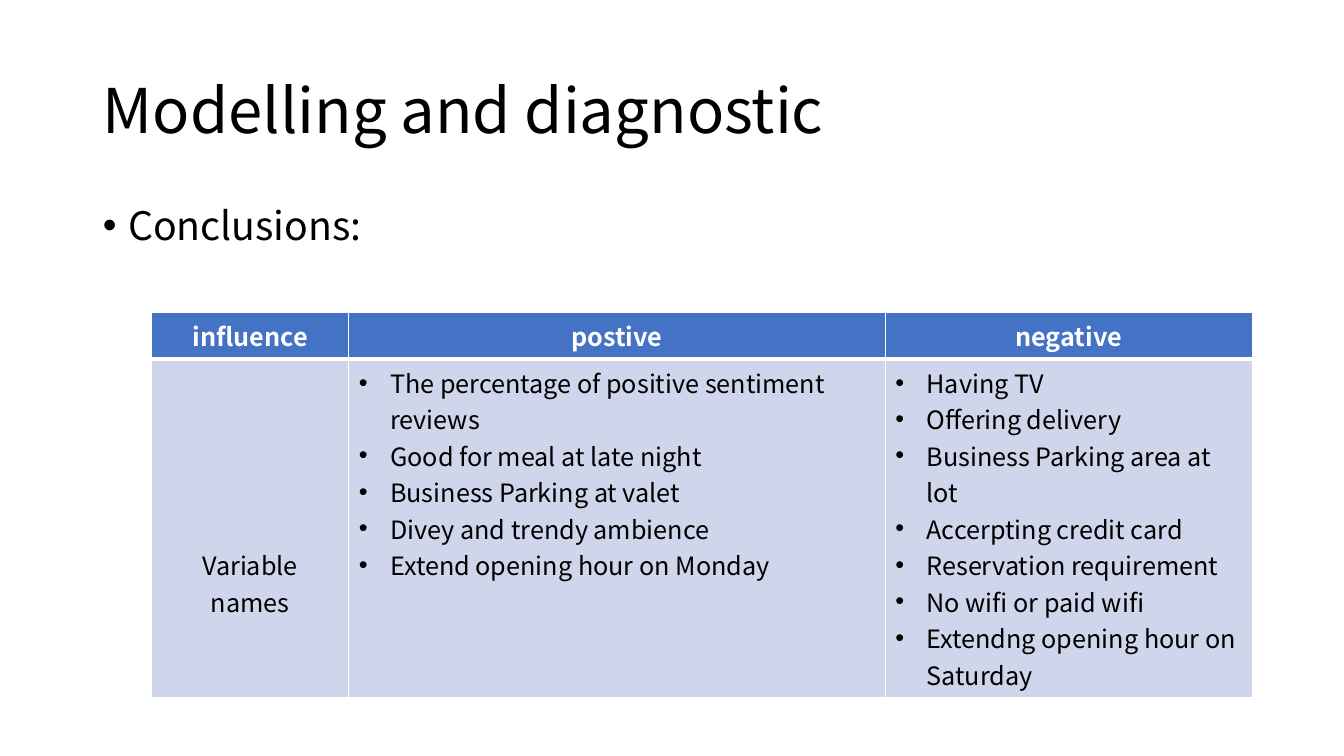
from lxml.etree import SubElement
from pptx import Presentation
from pptx.dml.color import RGBColor
from pptx.enum.text import MSO_ANCHOR as Anchor, MSO_AUTO_SIZE as AutoSize, PP_ALIGN as Align
from pptx.oxml.ns import qn
from pptx.util import Inches, Pt

FONT = "Noto Sans CJK SC"
COLORS = {"text": "000000", "white": "FFFFFF", "header": "4472C4", "body": "CFD5EA"}
HEADERS = ["influence", "postive", "negative"]
ROW_LABEL = "Variable names"
POSITIVE = [
    "The percentage of positive sentiment reviews",
    "Good for meal at late night",
    "Business Parking at valet",
    "Divey and trendy ambience",
    "Extend opening hour on Monday",
]
NEGATIVE = [
    "Having TV",
    "Offering delivery",
    "Business Parking area at lot",
    "Accerpting credit card",
    "Reservation requirement",
    "No wifi or paid wifi",
    "Extendng opening hour on Saturday",
]


def color(name):
    return RGBColor.from_string(COLORS[name])


def format_para(para, size, ink="text", bold=False, align=Align.LEFT):
    para.alignment = align
    for span in para.runs:
        span.font.name = FONT
        span.font.size = Pt(size)
        span.font.bold = bold
        span.font.color.rgb = color(ink)


def add_bullet(para, indent):
    props = para._p.get_or_add_pPr()
    props.set("marL", str(Inches(indent)))
    props.set("indent", str(-Inches(indent)))
    SubElement(props, qn("a:buFont"), typeface="Arial")
    SubElement(props, qn("a:buChar"), char="•")


def place(shape, box):
    shape.left, shape.top, shape.width, shape.height = map(Inches, box)


def fill_placeholder(holder, box, text, size, anchor):
    place(holder, box)
    frame = holder.text_frame
    frame.text = text
    frame.word_wrap = True
    frame.auto_size = AutoSize.NONE
    frame.vertical_anchor = anchor
    para = frame.paragraphs[0]
    para.line_spacing = 0.9
    format_para(para, size)
    return para


def add_title(page, box):
    fill_placeholder(page.shapes.title, box, "Modelling and diagnostic", 44, Anchor.MIDDLE)


def add_body(page, box):
    para = fill_placeholder(page.placeholders[1], box, "Conclusions:", 28, Anchor.TOP)
    para.space_before = Pt(10)
    add_bullet(para, 0.25)


def style_cell(cell, fill, top=1, bottom=1):
    # Borders come before the fill in the cell properties
    props = cell._tc.get_or_add_tcPr()
    for side, width in {"L": 1, "R": 1, "T": top, "B": bottom}.items():
        line = SubElement(props, qn(f"a:ln{side}"), w=str(Pt(width)))
        paint = SubElement(line, qn("a:solidFill"))
        SubElement(paint, qn("a:srgbClr"), val=COLORS["white"])
    cell.fill.solid()
    cell.fill.fore_color.rgb = color(fill)


def fill_list(cell, items):
    cell.text_frame.text = "\n".join(items)
    for para in cell.text_frame.paragraphs:
        format_para(para, 18)
        add_bullet(para, 0.31)


def add_influence_table(page, box):
    table = page.shapes.add_table(2, 3, *map(Inches, box)).table
    table.horz_banding = False
    for column, width in zip(table.columns, (1.96, 5.32, 3.64)):
        column.width = Inches(width)
    header_height = 0.46
    table.rows[0].height = Inches(header_height)
    table.rows[1].height = Inches(box[3] - header_height)

    # Header row
    for index, header in enumerate(HEADERS):
        cell = table.cell(0, index)
        cell.text_frame.text = header
        format_para(cell.text_frame.paragraphs[0], 18, "white", True, Align.CENTER)
        style_cell(cell, "header", bottom=3)
        style_cell(table.cell(1, index), "body", top=3)

    # Body row: label lowered beside the two lists
    label = table.cell(1, 0)
    label.text_frame.text = ROW_LABEL
    label.margin_top = Inches(1.86)
    format_para(label.text_frame.paragraphs[0], 18, align=Align.CENTER)
    fill_list(table.cell(1, 1), POSITIVE)
    fill_list(table.cell(1, 2), NEGATIVE)


deck = Presentation()
deck.slide_width, deck.slide_height = Inches(13.33), Inches(7.5)
page = deck.slides.add_slide(deck.slide_layouts[1])
add_title(page, (0.92, 0.4, 11.5, 1.45))
add_body(page, (0.92, 2, 11.5, 4.76))
add_influence_table(page, (1.5, 3.1, 10.92, 3.81))
deck.save("out.pptx")
